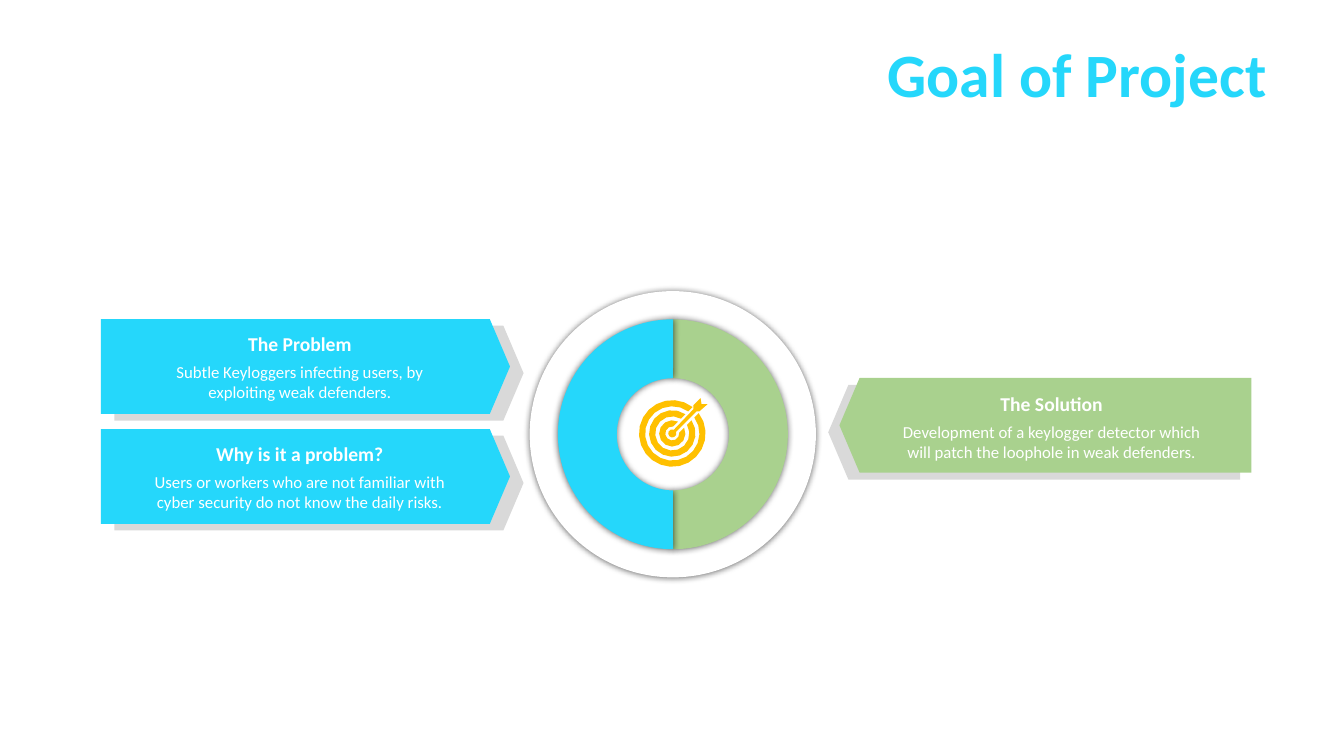
import math
from dataclasses import dataclass

from lxml import etree
from pptx import Presentation
from pptx import util as u
from pptx.dml import color as c
from pptx.enum import shapes as s, text as t
from pptx.oxml import ns


@dataclass(frozen=True)
class Theme:
    cyan: str = "25D7FB"
    green: str = "A9D18E"
    gold: str = "FFC000"
    grey: str = "D9D9D9"
    white: str = "FFFFFF"
    black: str = "000000"
    font: str = "Calibri"
    title_size: float = 44
    heading_size: float = 14
    body_size: float = 12


THEME = Theme()
CARD_HEIGHT = 67.7
LEFT_CARD = dict(left=72, width=292.3, color=THEME.cyan, rotation=0,
                 shade=(9.7, 4.7), inset=(22.2, 5.6))
RIGHT_CARD = dict(left=599.6, width=294.2, color=THEME.green, rotation=180,
                  shade=(-8, 5), inset=(31.6, 6.5))
CARDS = [
    (LEFT_CARD, 228, "The Problem",
     "Subtle Keyloggers infecting users, by exploiting weak defenders."),
    (LEFT_CARD, 306.5, "Why is it a problem?",
     "Users or workers who are not familiar with cyber security do not know the daily risks."),
    (RIGHT_CARD, 269.9, "The Solution",
     "Development of a keylogger detector which will patch the loophole in weak defenders."),
]
DART = [(2.2, -0.7), (17.3, -15.8), (19.4, -15.8), (25.2, -20.9),
        (20.9, -20.9), (20.2, -25.2), (15.1, -20.2), (15.1, -17.3), (0.7, -2.2)]


def set_values(target, values):
    for name, value in values.items():
        setattr(target, name, value)


def paint(shape, color):
    shape.shadow.inherit = False
    shape.fill.solid()
    shape.fill.fore_color.rgb = c.RGBColor.from_string(color)
    shape.line.fill.background()


def add_preset(shapes, kind, box, color, adjustments=(), rotation=0):
    shape = shapes.add_shape(kind, *map(u.Pt, box))
    paint(shape, color)
    for index, value in enumerate(adjustments):
        shape.adjustments[index] = value
    shape.rotation = rotation
    return shape


def add_glow(shape):
    effects = shape._element.spPr.find(ns.qn("a:effectLst"))
    shadow = etree.SubElement(effects, ns.qn("a:outerShdw"), blurRad=str(u.Pt(5)),
                              dist="0", dir="0", algn="ctr", rotWithShape="0")
    color = etree.SubElement(shadow, ns.qn("a:srgbClr"), val=THEME.black)
    etree.SubElement(color, ns.qn("a:alpha"), val="60000")


def add_text(shapes, box, content, size, color, bold=False,
             alignment=t.PP_ALIGN.CENTER, frame_values=None):
    frame = shapes.add_textbox(*map(u.Pt, box)).text_frame
    set_values(frame, {"word_wrap": True, **(frame_values or {})})
    paragraph = frame.paragraphs[0]
    paragraph.text = content
    paragraph.alignment = alignment
    set_values(paragraph.font, {"name": THEME.font, "size": u.Pt(size), "bold": bold})
    paragraph.font.color.rgb = c.RGBColor.from_string(color)


def add_card(slide, style, top, heading, body):
    shapes = slide.shapes.add_group_shape().shapes
    shade_x, shade_y = style["shade"]
    for x, y, color in ((shade_x, shade_y, THEME.grey), (0, 0, style["color"])):
        box = (style["left"] + x, top + y, style["width"], CARD_HEIGHT)
        add_preset(shapes, s.MSO_SHAPE.PENTAGON, box, color, [0.213], style["rotation"])
    left, text_top = style["left"] + style["inset"][0], top + style["inset"][1]
    add_text(shapes, (left, text_top, 240, 20.2), heading,
             THEME.heading_size, THEME.white, bold=True)
    add_text(shapes, (left, text_top + 21, 240, 38.2), body,
             THEME.body_size, THEME.white)


def add_wheel(slide):
    half = (480.6 - 82.1, 310.2 - 82.1, 164.2, 164.2)
    parts = [
        (s.MSO_SHAPE.OVAL, (480.6 - 102.25, 310.2 - 102.25, 204.5, 204.5), THEME.white, (), 0),
        (s.MSO_SHAPE.BLOCK_ARC, half, THEME.green, (108, 215.911, 0.256), 90),
        (s.MSO_SHAPE.BLOCK_ARC, half, THEME.cyan, (53.946, 162.088, 0.256), 0),
    ]
    for part in parts:
        add_glow(add_preset(slide.shapes, *part))


def arc(radius, start, end):
    steps = max(8, round(radius * 0.7) + 4)
    angles = [math.radians(start + (end - start) * i / steps) for i in range(steps + 1)]
    return [(radius * math.cos(a), -radius * math.sin(a)) for a in angles]


def open_ring(outer, thickness, half_gap):
    inner = outer - thickness
    wide, narrow = (math.degrees(math.asin(half_gap / r)) for r in (inner, outer))
    return arc(outer, 45 + narrow, 405 - narrow) + arc(inner, 405 - wide, 45 + wide)


def add_target(slide, center_x, center_y):
    outlines = [open_ring(23.8 - 7.2 * i, 4.4, 3.1) for i in range(3)]
    outlines.append(DART + arc(2.9, 75, 375))
    placed = [[(u.Pt(center_x + x), u.Pt(center_y + y)) for x, y in outline]
              for outline in outlines]
    builder = slide.shapes.build_freeform(*placed[0][0])
    builder.add_line_segments(placed[0][1:], close=True)
    for outline in placed[1:]:
        builder.move_to(*outline[0])
        builder.add_line_segments(outline[1:], close=True)
    paint(builder.convert_to_shape(), THEME.gold)


def main():
    presentation = Presentation()
    set_values(presentation, {"slide_width": u.Pt(960), "slide_height": u.Pt(540)})
    slide = presentation.slides.add_slide(presentation.slide_layouts[6])
    add_wheel(slide)
    add_target(slide, 480.2, 309.6)
    for card in CARDS:
        add_card(slide, *card)
    add_text(slide.shapes, (631, 25.2, 283, 53.3), "Goal of Project",
             THEME.title_size, THEME.cyan, bold=True, alignment=t.PP_ALIGN.LEFT,
             frame_values={"vertical_anchor": t.MSO_ANCHOR.MIDDLE,
                           "margin_left": u.Pt(2.9), "margin_right": u.Pt(2.9),
                           "margin_top": u.Pt(0), "margin_bottom": u.Pt(0)})
    presentation.save("out.pptx")


if __name__ == "__main__":
    main()
